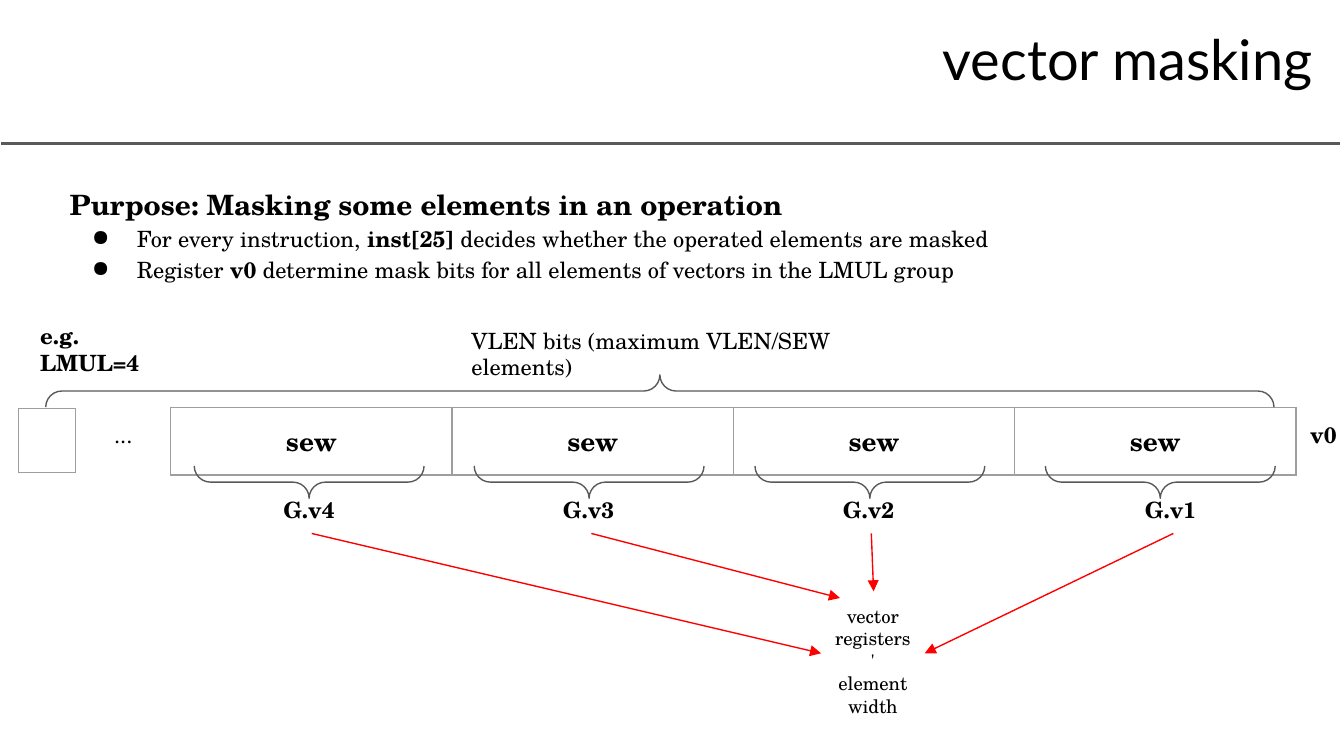
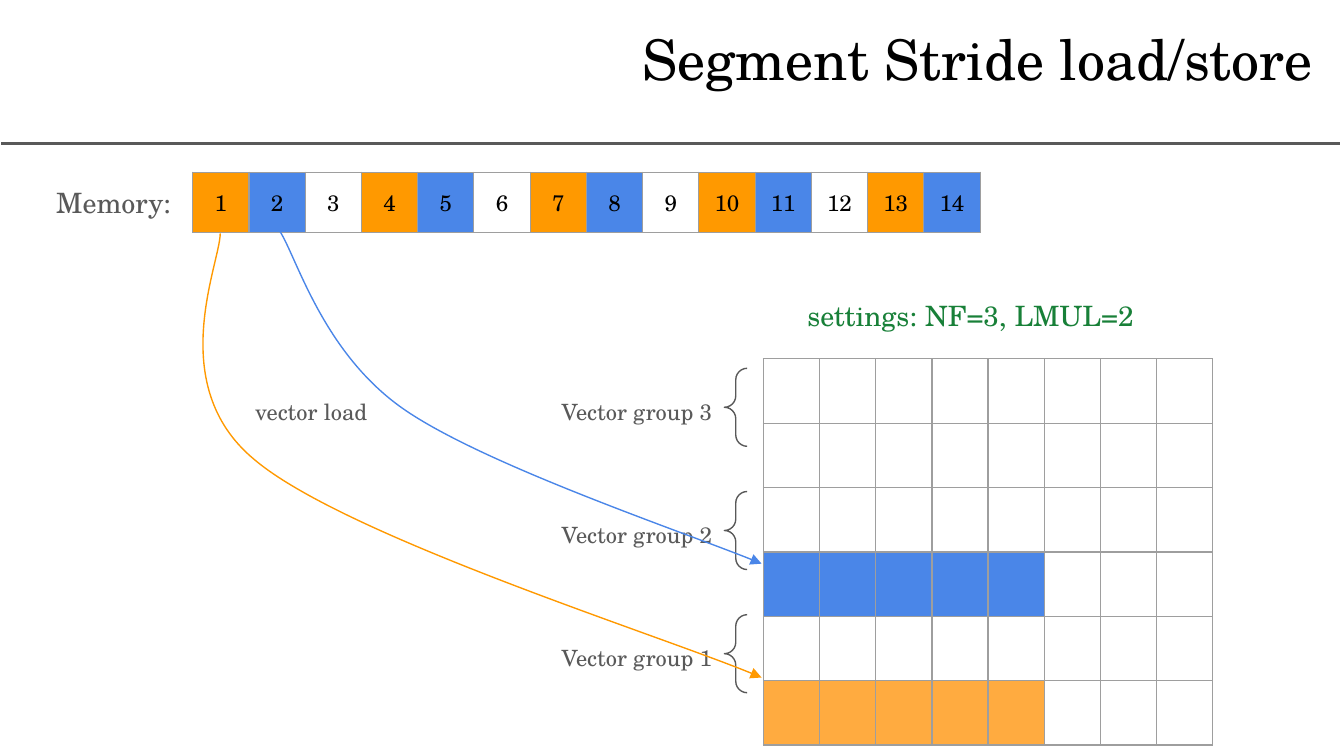
from dataclasses import dataclass
from itertools import cycle, islice

from lxml.etree import SubElement
from pptx import Presentation
from pptx.dml.color import RGBColor
from pptx.enum.shapes import MSO_CONNECTOR, MSO_SHAPE
from pptx.enum.text import MSO_ANCHOR, MSO_AUTO_SIZE, PP_ALIGN
from pptx.oxml.ns import qn
from pptx.util import Pt


@dataclass(frozen=True)
class Theme:
    serif: str = "TeX Gyre Schola"
    sans: str = "Lato"
    black: str = "000000"
    white: str = "FFFFFF"
    gray: str = "595959"
    border: str = "9E9E9E"
    red: str = "FF0000"
    green: str = "188038"
    blue: str = "4A86E8"
    orange: str = "FF9900"
    light_orange: str = "FFAB40"
    title: float = 30
    heading: float = 15
    cell: float = 14
    body: float = 12
    small: float = 10
    inset: float = 7.2
    thin: float = 0.75
    rule: float = 1.5
    spacing: float = 1.15


class Deck:
    def __init__(self, theme):
        self.theme = theme
        self.prs = Presentation()
        self.prs.slide_width, self.prs.slide_height = Pt(720), Pt(405)
        self.s = None

    def slide(self, title, font):
        t = self.theme
        self.s = self.prs.slides.add_slide(self.prs.slide_layouts[5])
        self.line((0.7, 77), (717.8, 77), t.gray, t.rule)
        sp = self.s.shapes.title
        sp.left, sp.top, sp.width, sp.height = Pt(200), Pt(5.8), Pt(510.5), Pt(67)
        tf = self.frame(sp)
        p = tf.paragraphs[0]
        p.alignment = PP_ALIGN.RIGHT
        self.run(p, title, t.title, font=font)

    def frame(self, sp):
        tf = sp.text_frame
        tf.word_wrap = True
        tf.auto_size = MSO_AUTO_SIZE.NONE
        tf.vertical_anchor = MSO_ANCHOR.TOP
        tf.margin_left = tf.margin_right = Pt(self.theme.inset)
        tf.margin_top = tf.margin_bottom = Pt(self.theme.inset)
        return tf

    def run(self, p, text, size, color=None, bold=False, font=None):
        r = p.add_run()
        r.text = text
        r.font.name = font or self.theme.serif
        r.font.size = Pt(size)
        r.font.bold = bold
        r.font.color.rgb = RGBColor.from_string(color or self.theme.black)

    def box(self, left, top, width, height):
        sp = self.s.shapes.add_textbox(Pt(left), Pt(top), Pt(width), Pt(height))
        return self.frame(sp)

    def text(self, left, top, width, height, text, size=None, color=None,
             bold=False, align=PP_ALIGN.LEFT, spacing=1.0):
        tf = self.box(left, top, width, height)
        p = tf.paragraphs[0]
        p.alignment = align
        p.line_spacing = spacing
        self.run(p, text, size or self.theme.body, color, bold)
        return tf

    def bullet(self, tf, parts):
        """Add a bulleted paragraph; every second part is bold."""
        p = tf.add_paragraph()
        p.line_spacing = self.theme.spacing
        pPr = p._p.get_or_add_pPr()
        pPr.set("marL", str(Pt(36)))
        pPr.set("indent", str(-Pt(24)))
        bu_color = SubElement(pPr, qn("a:buClr"))
        SubElement(bu_color, qn("a:srgbClr"), val=self.theme.black)
        SubElement(pPr, qn("a:buChar"), char="●")
        for i, part in enumerate(parts):
            self.run(p, part, self.theme.body, bold=i % 2 == 1)

    def stroke(self, sp, color, width=None, arrow=False):
        sp.line.color.rgb = RGBColor.from_string(color)
        sp.line.width = Pt(width or self.theme.thin)
        if arrow:
            ln = sp._element.spPr.find(qn("a:ln"))
            SubElement(ln, qn("a:tailEnd"), type="triangle")

    def line(self, start, end, color, width=None, arrow=False):
        sp = self.s.shapes.add_connector(
            MSO_CONNECTOR.STRAIGHT, *(Pt(v) for v in (*start, *end)))
        self.stroke(sp, color, width, arrow)
        SubElement(sp._element.spPr, qn("a:effectLst"))

    def curve(self, points, color):
        """Draw an arrow along cubic Béziers: a start, then three points per piece."""
        builder = self.s.shapes.build_freeform(*points[0], scale=Pt(1))
        builder.add_line_segments(points[1:], close=False)
        sp = builder.convert_to_shape()
        path = sp._element.spPr.find(".//" + qn("a:path"))
        segments = path.findall(qn("a:lnTo"))
        for i in range(0, len(segments), 3):
            bezier = SubElement(path, qn("a:cubicBezTo"))
            for segment in segments[i:i + 3]:
                bezier.append(segment[0])
                path.remove(segment)
        sp.fill.background()
        sp.shadow.inherit = False
        self.stroke(sp, color, arrow=True)

    def brace(self, cx, cy, depth, span, rotation=0):
        sp = self.s.shapes.add_shape(
            MSO_SHAPE.LEFT_BRACE, Pt(cx - depth / 2), Pt(cy - span / 2),
            Pt(depth), Pt(span))
        sp.adjustments[0] = sp.adjustments[1] = 0.5
        sp.rotation = rotation
        sp.fill.background()
        sp.shadow.inherit = False
        self.stroke(sp, self.theme.gray)

    def table(self, left, top, col_width, row_height, texts, fills=None,
              size=None, bold=False):
        t = self.theme
        rows, cols = len(texts), len(texts[0])
        table = self.s.shapes.add_table(
            rows, cols, Pt(left), Pt(top), Pt(col_width * cols),
            Pt(row_height * rows)).table
        table.first_row = table.horz_banding = False
        for i, row in enumerate(texts):
            for j, text in enumerate(row):
                cell = table.cell(i, j)
                self.borders(cell)
                cell.fill.solid()
                fill = fills[i][j] if fills else t.white
                cell.fill.fore_color.rgb = RGBColor.from_string(fill)
                margin = Pt(t.inset if text else 0)
                cell.margin_left = cell.margin_right = margin
                cell.margin_top = cell.margin_bottom = margin
                if text:
                    p = cell.text_frame.paragraphs[0]
                    p.alignment = PP_ALIGN.CENTER
                    self.run(p, text, size or t.body, bold=bold)

    def borders(self, cell):
        tcPr = cell._tc.get_or_add_tcPr()
        for side in ("lnL", "lnR", "lnT", "lnB"):
            ln = SubElement(tcPr, qn("a:" + side), w=str(Pt(self.theme.thin)))
            fill = SubElement(ln, qn("a:solidFill"))
            SubElement(fill, qn("a:srgbClr"), val=self.theme.border)


def vector_masking(deck):
    t = deck.theme
    deck.slide("vector masking", t.sans)
    tf = deck.text(30.2, 90.7, 671, 67, "Purpose: Masking some elements in an operation",
                   t.heading, bold=True, spacing=t.spacing)
    deck.bullet(tf, ("For every instruction, ", "inst[25]",
                     " decides whether the operated elements are masked"))
    deck.bullet(tf, ("Register ", "v0",
                     " determine mask bits for all elements of vectors in the LMUL group"))

    deck.table(91.5, 218.3, 150.7, 35.4, [["sew"] * 4], size=t.cell, bold=True)
    deck.table(10, 218.8, 30.3, 34.5, [[""]])
    deck.text(694.8, 218.2, 30.2, 27.4, "v0", bold=True)
    deck.text(54, 218.2, 30.2, 27.4, "...")
    deck.text(14.4, 165.6, 89.3, 27.4, "e.g. LMUL=4", bold=True)
    deck.text(245.5, 167.8, 254.2, 34.6, "VLEN bits (maximum VLEN/SEW elements)")
    deck.brace(353.5, 209.5, 17.3, 658, rotation=90)

    deck.text(439.9, 316.8, 55.4, 67, "vector registers' element width",
              t.small, align=PP_ALIGN.CENTER)
    groups = (
        ("G.v4", 165.6, 167, (439.9, 350)),
        ("G.v3", 315.6, 316.8, (450, 320.4)),
        ("G.v2", 466, 466.8, (468, 316.8)),
        ("G.v1", 621.6, 628.6, (495.4, 350)),
    )
    for name, brace_x, label_x, target in groups:
        deck.brace(brace_x, 258.3, 17.3, 123.1, rotation=270)
        deck.text(label_x - 22.3, 258.5, 44.6, 27.4, name, bold=True)
        deck.line((label_x, 285.8), target, t.red, arrow=True)


def segment_stride(deck):
    t = deck.theme
    deck.slide("Segment Stride load/store", t.serif)
    deck.text(23, 89.3, 214.6, 44.6, "Memory:", t.heading, t.gray, spacing=t.spacing)

    rows, cols, loaded = 6, 8, 5
    row_fills = {3: t.blue, 5: t.light_orange}
    fills = [[row_fills.get(i, t.white)] * loaded + [t.white] * (cols - loaded)
             for i in range(rows)]
    deck.table(409, 192.2, 30.1, 34.5, [[""] * cols] * rows, fills)

    for i, group in enumerate((3, 2, 1)):
        top = 197.3 + 66 * i
        deck.brace(394.2, top + 20.9, 12.2, 41.8)
        deck.text(293.8, top + 8.7, 101.5, 23.8, f"Vector group {group}", color=t.gray)

    count = 14
    stripes = list(islice(cycle((t.orange, t.blue, t.white)), count))
    deck.table(103.2, 92.3, 30.15, 32.2,
               [[str(n + 1) for n in range(count)]], [stripes])
    deck.text(425.5, 149.8, 206.6, 32.4, "settings: NF=3, LMUL=2", t.heading,
              t.green, spacing=t.spacing)
    deck.curve([(117.6, 125), (117.6, 141.1), (87.8, 206), (136.1, 246.2),
                (184.3, 286.6), (362.2, 343.4), (407.7, 363.2)], t.orange)
    deck.curve([(150, 124.5), (159.1, 137.5), (172.8, 188.6), (216, 218.9),
                (259.2, 249.1), (375.1, 288), (407.7, 301.8)], t.blue)
    deck.text(129.6, 205.9, 80.6, 23.8, "vector load", color=t.gray)


def main():
    deck = Deck(Theme())
    vector_masking(deck)
    segment_stride(deck)
    deck.prs.save("out.pptx")


if __name__ == "__main__":
    main()
